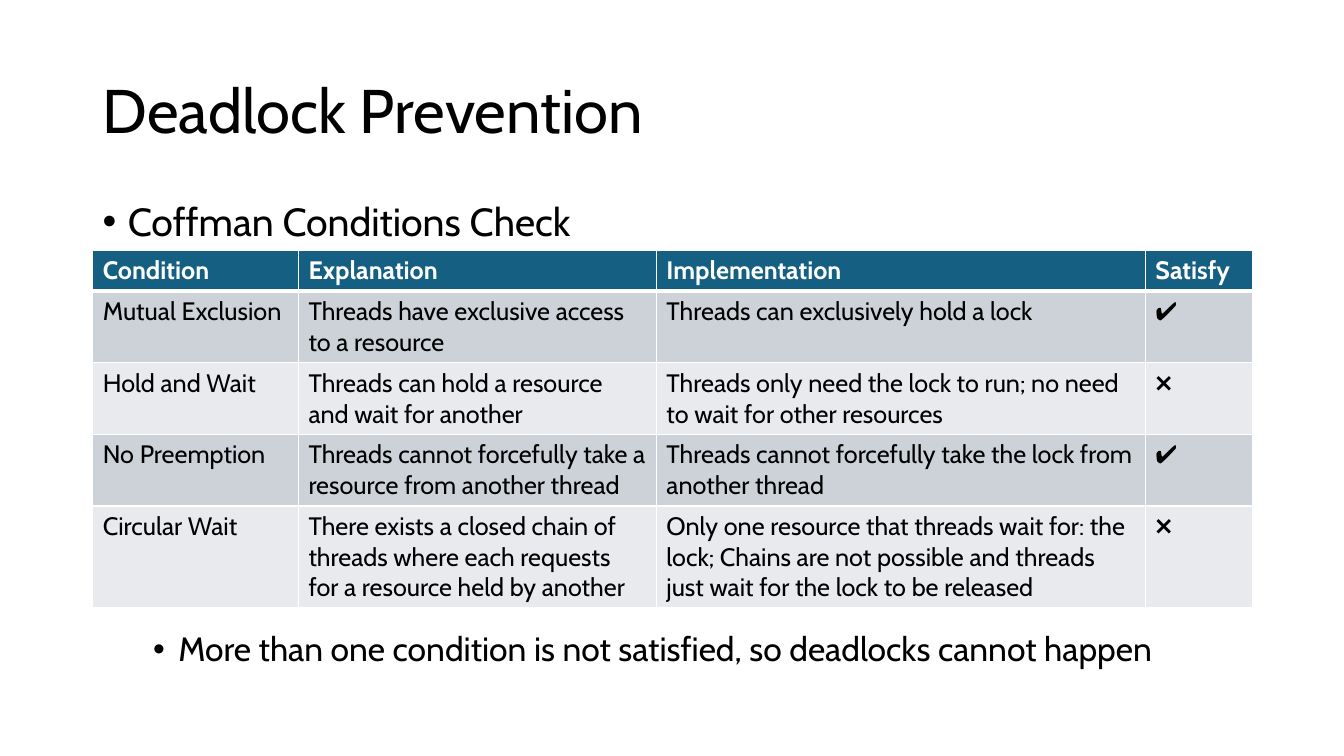
from lxml.etree import SubElement
from pptx import Presentation
from pptx.dml.color import RGBColor
from pptx.enum.text import MSO_ANCHOR as Anchor
from pptx.oxml.ns import qn
from pptx.util import Inches, Pt

FONT = "Cabin"
BLACK, WHITE, TEAL = "000000", "FFFFFF", "156082"
BANDS = ("CCD2D8", "E8EAED")
LEFT, WIDTH = 0.92, 11.5
COLUMN_WIDTHS = (2.04, 3.55, 4.85, 1.06)
ONE_LINE_ROW, EXTRA_LINE = 0.41, 0.3
LINES_PER_ROW = (1, 2, 2, 2, 3)
CONDITIONS = (
    ("Condition", "Explanation", "Implementation", "Satisfy"),
    ("Mutual Exclusion", "Threads have exclusive access to a resource",
     "Threads can exclusively hold a lock", "✔️"),
    ("Hold and Wait", "Threads can hold a resource and wait for another",
     "Threads only need the lock to run; no need to wait for other resources", "❌"),
    ("No Preemption", "Threads cannot forcefully take a resource from another thread",
     "Threads cannot forcefully take the lock from another thread", "✔️"),
    ("Circular Wait",
     "There exists a closed chain of threads where each requests for a resource held by another",
     "Only one resource that threads wait for: the lock; Chains are not possible "
     "and threads just wait for the lock to be released", "❌"),
)


def color(hex_code):
    return RGBColor.from_string(hex_code)


def write(paragraph, text, size, hex_code=BLACK, bold=False):
    run = paragraph.add_run()
    run.text = text
    for name, value in {"name": FONT, "size": Pt(size), "bold": bold}.items():
        setattr(run.font, name, value)
    run.font.color.rgb = color(hex_code)


def add_text(slide, box, text, size, anchor=Anchor.TOP, **spacing):
    """Add a one-paragraph text box and return its paragraph."""
    frame = slide.shapes.add_textbox(*map(Inches, box)).text_frame
    frame.word_wrap = True
    frame.vertical_anchor = anchor
    paragraph = frame.paragraphs[0]
    for name, value in spacing.items():
        setattr(paragraph, name, value)
    write(paragraph, text, size)
    return paragraph


def add_bullet(paragraph, indent):
    properties = paragraph._p.get_or_add_pPr()
    properties.set("marL", str(Inches(indent)))
    properties.set("indent", str(Inches(-0.25)))
    SubElement(properties, qn("a:buFont"), typeface="Arial")
    SubElement(properties, qn("a:buChar"), char="•")


def add_borders(cell, bottom):
    properties = cell._tc.get_or_add_tcPr()
    for side, width in {"L": 1, "R": 1, "T": 1, "B": bottom}.items():
        line = SubElement(properties, qn(f"a:ln{side}"), w=str(Pt(width)))
        SubElement(SubElement(line, qn("a:solidFill")), qn("a:srgbClr"), val=WHITE)


def add_conditions_table(slide, left, top):
    heights = [ONE_LINE_ROW + EXTRA_LINE * (lines - 1) for lines in LINES_PER_ROW]
    box = (left, top, sum(COLUMN_WIDTHS), sum(heights))
    table = slide.shapes.add_table(
        len(CONDITIONS), len(COLUMN_WIDTHS), *map(Inches, box)).table
    for column, width in zip(table.columns, COLUMN_WIDTHS):
        column.width = Inches(width)
    for index, (row, height, texts) in enumerate(zip(table.rows, heights, CONDITIONS)):
        row.height = Inches(height)
        header = index == 0
        for cell, text in zip(row.cells, texts):
            # Borders must precede the fill in the cell's properties.
            add_borders(cell, bottom=3 if header else 1)
            cell.fill.solid()
            cell.fill.fore_color.rgb = color(TEAL if header else BANDS[(index - 1) % 2])
            write(cell.text_frame.paragraphs[0], text, 18,
                  WHITE if header else BLACK, header)


def build_deadlock_slide(presentation):
    slide = presentation.slides.add_slide(presentation.slide_layouts[6])
    add_text(slide, (LEFT, 0.4, WIDTH, 1.45), "Deadlock Prevention", 44,
             Anchor.MIDDLE, line_spacing=0.9)
    heading = add_text(slide, (LEFT, 2, WIDTH, 0.48), "Coffman Conditions Check", 28,
                       line_spacing=0.8, space_before=Pt(10))
    add_bullet(heading, 0.25)
    add_conditions_table(slide, LEFT, 2.48)
    conclusion = add_text(
        slide, (LEFT, 6.23, WIDTH, 0.48),
        "More than one condition is not satisfied, so deadlocks cannot happen", 24,
        level=1, line_spacing=0.9, space_before=Pt(5))
    add_bullet(conclusion, 0.75)


def main():
    presentation = Presentation()
    presentation.slide_width, presentation.slide_height = Inches(13.33), Inches(7.5)
    build_deadlock_slide(presentation)
    presentation.save("out.pptx")


if __name__ == "__main__":
    main()
